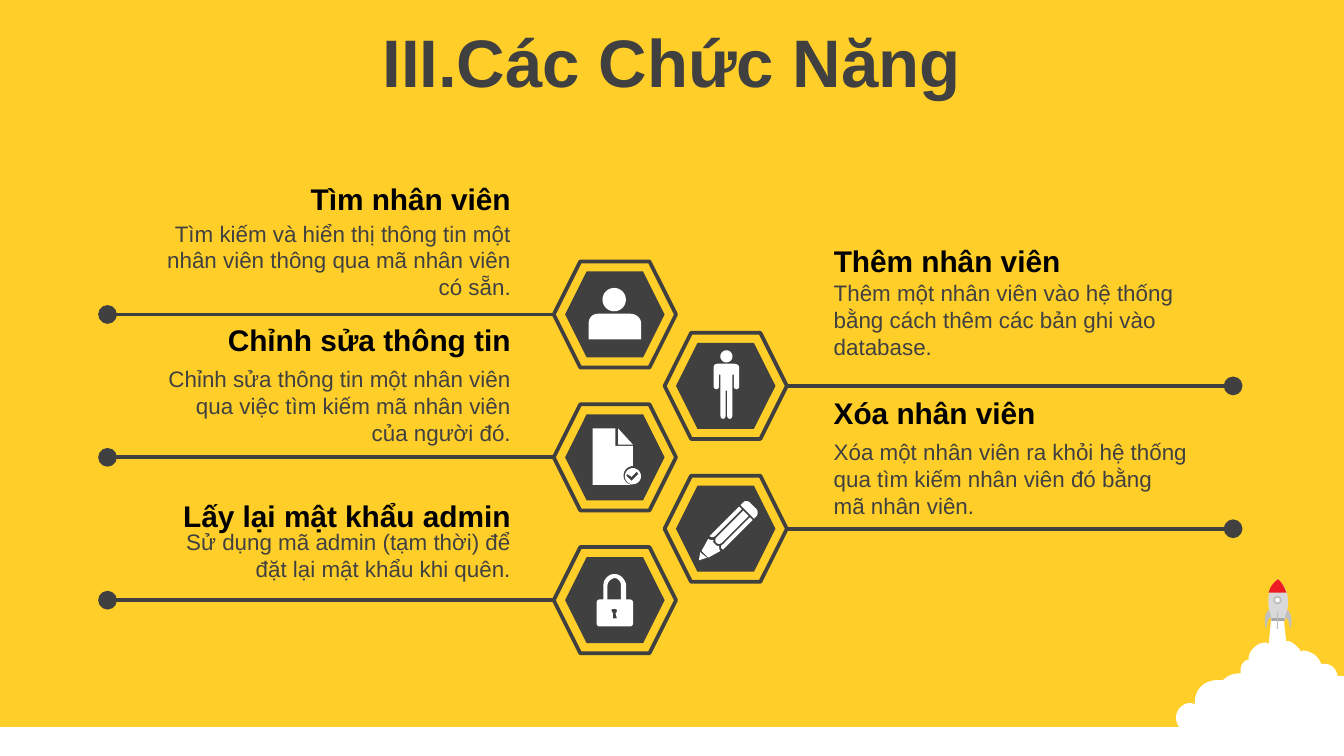
import math
from lxml import etree
from pptx import Presentation, util as u
from pptx.dml.color import RGBColor
from pptx.enum import shapes, text
from pptx.oxml import ns

# Grid: square cells, 1000 columns on a 16:9 slide
COLS = 1000
ROWS = COLS * 9 / 16
CELL = u.Inches(10) // COLS
GOLD, DARK, WHITE, BLACK = "FFCE29", "404040", "FFFFFF", "000000"
SILVER = "BFBFBF"
KIND = shapes.MSO_SHAPE
LEFT, RIGHT = text.PP_ALIGN.LEFT, text.PP_ALIGN.RIGHT


def color(code):
    return RGBColor.from_string(code)


def cells(*counts):
    return [round(n * CELL) for n in counts]


def paint(shape, fill, line=None, width=1):
    shape.shadow.inherit = False
    shape.fill.solid()
    shape.fill.fore_color.rgb = color(fill)
    if line:
        shape.line.color.rgb = color(line)
        shape.line.width = u.Pt(width)
    else:
        shape.line.fill.background()


def preset(slide, kind, box, fill, line=None, width=1):
    paint(slide.shapes.add_shape(kind, *cells(*box)), fill, line, width)


# Outlines: a pair is a corner, a group of six is a Bezier curve
def ring(x, y, r, steps=32):
    turns = [math.tau * i / steps for i in range(steps)]
    return [(x + r * math.cos(t), y + r * math.sin(t)) for t in turns]


def flip(path, axis):
    return [tuple(2 * axis - v if i % 2 == 0 else v for i, v in enumerate(p))
            for p in path]


def trace(path, steps=8):
    points = []
    for part in path:
        if len(part) == 2:
            points.append(part)
            continue
        knots = [points[-1], part[:2], part[2:4], part[4:]]
        for i in range(1, steps + 1):
            t = i / steps
            shares = ((1 - t) ** 3, 3 * t * (1 - t) ** 2, 3 * t * t * (1 - t), t ** 3)
            points.append(tuple(sum(s * k[a] for s, k in zip(shares, knots))
                                for a in (0, 1)))
    return points


def outline(slide, x, y, paths, fill):
    pen = None
    for path in paths:
        points = [cells(x + a, y + b) for a, b in trace(path)]
        if pen is None:
            pen = slide.shapes.build_freeform(*points[0], scale=1.0)
        else:
            pen.move_to(*points[0])
        pen.add_line_segments(points[1:], close=True)
    paint(pen.convert_to_shape(), fill)


def label(slide, box, words, size, ink, align, bold=False, wrap=True):
    frame = slide.shapes.add_textbox(*cells(*box)).text_frame
    frame.word_wrap = wrap
    frame.auto_size = text.MSO_AUTO_SIZE.SHAPE_TO_FIT_TEXT
    para = frame.paragraphs[0]
    para.alignment = align
    run = para.add_run()
    run.text = words
    run.font.name, run.font.size, run.font.bold = "Arial", u.Pt(size), bold
    run.font.color.rgb = color(ink)
    return frame


def rocket(slide, x, y):
    cloud = [(71, 28), (80, 28), (82, 46), (84, 46), (87, 47, 89, 49, 92, 52),
             (93, 54), (94, 53), (100, 53, 106, 57, 108, 63), (111, 63),
             (115, 63, 119, 66, 120, 71), (120, 72), (125, 72), (125, 129),
             (59, 130), (38, 120), (18, 112), (16, 114, 14, 114, 11, 114),
             (5, 114, 0, 109, 0, 103), (0, 97, 5, 92, 11, 92), (14, 93), (14, 91),
             (14, 82, 21, 75, 31, 75), (35, 75), (39, 71, 43, 70, 48, 70), (48, 68),
             (48, 64, 50, 61, 53, 60), (54, 60), (54, 58),
             (55, 52, 61, 47, 67, 47), (69, 48)]
    body = [(71, 31), (69, 22, 65, 9, 76, 0), (87, 10, 83, 23, 81, 31)]
    nose = [(76, 0), (79, 3, 81, 6, 82, 10), (69, 10), (70, 6, 72, 3, 76, 0)]
    fin = [(69, 23), (71, 28), (67, 30, 68, 35, 67, 37), (66, 34, 65, 26, 69, 23)]
    outline(slide, x, y, [cloud], WHITE)
    outline(slide, x, y, [body], "D9D9D9")
    preset(slide, KIND.RECTANGLE, (x + 71, y + 29, 10, 2), "A6A6A6")
    outline(slide, x, y, [nose], "ED1C24")
    preset(slide, KIND.OVAL, (x + 73, y + 13, 5, 5), WHITE, SILVER)
    preset(slide, KIND.RECTANGLE, (x + 75, y + 24, 1, 13), SILVER)
    for side in (fin, flip(fin, 76)):
        outline(slide, x, y, [side], SILVER)


# Icons: offset inside the hexagon, then outlines
USER = (26, 20, [
    [(7, 19), (31, 19), (35, 19, 39, 22, 39, 26), (39, 38), (0, 38), (0, 26),
     (0, 22, 3, 19, 7, 19)], ring(19, 8.5, 8.7)])
MAN = (36.5, 13, [
    [(3, 10), (15, 10), (17, 10, 19, 11, 19, 13), (19, 27), (19, 28, 18, 29, 17, 29),
     (16, 29, 15, 28, 15, 27), (15, 18), (14, 18), (14, 48), (14, 50, 13, 51, 12, 51),
     (11, 51, 10, 50, 10, 48), (10, 30), (9, 30), (9, 48), (9, 50, 8, 51, 7, 51),
     (6, 51, 5, 50, 5, 48), (5, 18), (4, 18), (4, 27), (4, 28, 3, 29, 2, 29),
     (1, 29, 0, 28, 0, 27), (0, 13), (0, 11, 1, 10, 3, 10)], ring(9.5, 4.5, 4.5)])
FILE = (29, 18, [
    [(33, 32), (29, 36), (26, 34), (25, 35), (29, 39), (34, 34)],
    ring(30, 35.5, 6),
    [(0, 0), (17, 0), (17, 13), (30, 13), (30, 28), (26, 28, 23, 31, 23, 35),
     (23, 39, 26, 42, 30, 42), (0, 42)],
    [(19, 0), (30, 12), (19, 12)]])
PENCIL = (25.5, 19, [
    [(1, 38), (6, 42), (0, 44)],
    [(7, 28), (8, 29, 10, 29, 11, 29), (10, 30, 11, 31, 12, 32),
     (13, 33, 14, 34, 15, 33), (15, 34, 15, 36, 16, 37), (7, 42), (2, 37)],
    [(38, 12), (40, 14), (18, 36), (16, 35, 16, 33, 18, 32)],
    [(33, 7), (37, 11), (17, 31), (16, 32, 14, 32, 13, 31), (12, 30, 12, 28, 13, 27)],
    [(30, 4), (32, 6), (12, 26), (11, 27, 9, 27, 8, 26)],
    [(35, 0), (36, 0, 37, 0, 38, 1), (43, 6), (44, 7, 44, 10, 43, 11),
     (42, 12, 41, 13, 41, 13), (31, 3), (33, 1), (34, 0, 34, 0, 35, 0)]])
LOCK = (32, 20, [
    [(13, 26), (12, 26, 11, 26, 11, 27), (11, 28, 12, 29, 12, 29), (12, 33), (15, 33),
     (14, 29), (15, 29, 15, 28, 15, 27), (15, 26, 14, 26, 13, 26)],
    [(13, 3), (10, 4, 8, 6, 8, 9), (8, 19), (18, 19), (18, 8), (18, 6, 16, 3, 13, 3)],
    [(13, 0), (18, 0, 21, 4, 22, 8), (22, 19), (25, 19), (26, 19, 27, 20, 27, 21),
     (27, 37), (27, 38, 26, 39, 25, 39), (2, 39), (1, 39, 0, 38, 0, 37), (0, 21),
     (0, 20, 1, 19, 2, 19), (5, 19), (5, 8), (5, 4, 9, 0, 13, 0)]])

# Icon, heading, its width and rise, body, its height and rise above the hexagon
ITEMS = [
    (USER, "Tìm nhân viên", 171, 65,
     "Tìm kiếm và hiển thị thông tin một nhân viên thông qua mã nhân viên có sẵn.", 71, 36),
    (MAN, "Thêm nhân viên", 191, 72,
     "Thêm một nhân viên vào hệ thống bằng cách thêm các bản ghi vào database.", 71, 45),
    (FILE, "Chỉnh sửa thông tin", 234, 66,
     "Chỉnh sửa thông tin một nhân viên qua việc tìm kiếm mã nhân viên của người đó.", 71, 34),
    (PENCIL, "Xóa nhân viên", 283, 65,
     "Xóa một nhân viên ra khỏi hệ thống qua tìm kiếm nhân viên đó bằng mã nhân viên.", 71, 33),
    (LOCK, "Lấy lại mật khẩu admin", 283, 42,
     "Sử dụng mã admin (tạm thời) để đặt lại mật khẩu khi quên.", 50, 19)]


def branch(slide, y, start, end):
    line = slide.shapes.add_connector(shapes.MSO_CONNECTOR.STRAIGHT,
                                      *cells(start, y, end, y))
    line.line.color.rgb = color(DARK)
    line.line.width = u.Pt(2)
    pen = line._element.spPr.find(ns.qn("a:ln"))
    etree.SubElement(pen, ns.qn("a:tailEnd"), type="oval", w="lg", len="lg")
    etree.SubElement(line._element.spPr, ns.qn("a:effectLst"))


def feature(slide, x, y, east, item):
    wide, high, span = 91, 79, 283
    (dx, dy, paths), head, width, rise, words, tall, lift = item
    # Hexagon and icon
    preset(slide, KIND.HEXAGON, (x, y, wide, high), GOLD, DARK, 2)
    preset(slide, KIND.HEXAGON, (x + 8.5, y + 7.5, 74, 64), DARK)
    outline(slide, x + dx, y + dy, paths, WHITE)
    # Line with a round end
    start, end = (x + wide, x + 423) if east else (x, x - 332)
    branch(slide, y + high / 2, start, end)
    # Heading and body
    near, align = (x + 116, LEFT) if east else (x - 305, RIGHT)
    edge = near if east else near + span - width
    label(slide, (near, y - lift, span, tall), words, 12, DARK, align)
    label(slide, (edge, y - rise, width, 37), head, 16, BLACK, align, True, width == span)


def title(slide, box, words):
    frame = label(slide, box, words, 36, DARK, text.PP_ALIGN.CENTER, True)
    frame.auto_size = text.MSO_AUTO_SIZE.NONE
    frame.vertical_anchor = text.MSO_ANCHOR.MIDDLE
    frame.paragraphs[0].space_before = u.Pt(3.6)


def main():
    deck = Presentation()
    deck.slide_width, deck.slide_height = cells(COLS, ROWS)
    slide = deck.slides.add_slide(deck.slide_layouts[6])
    slide.background.fill.solid()
    slide.background.fill.fore_color.rgb = color(GOLD)
    preset(slide, KIND.RECTANGLE, (0, 541, COLS, ROWS - 541), WHITE)
    rocket(slide, 875, 431)
    title(slide, (0, 14, COLS, 63), "III.Các Chức Năng")
    # Hexagons zigzag down two columns
    for i, item in enumerate(ITEMS):
        feature(slide, 412 + 82.5 * (i % 2), 194.5 + 53.15 * i, i % 2 == 1, item)
    deck.save("out.pptx")


if __name__ == "__main__":
    main()
